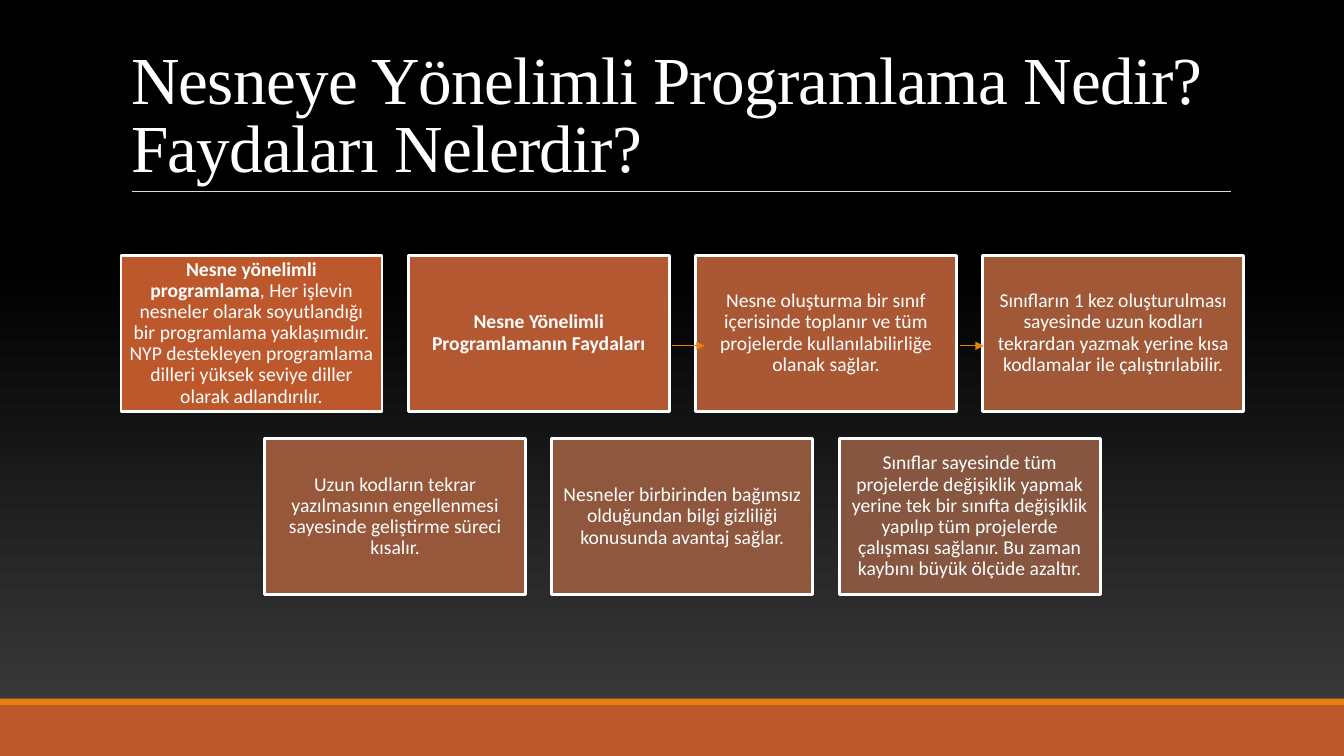
import pptx
import pptx.dml.color
import pptx.enum.shapes
import pptx.enum.text
import pptx.oxml
import pptx.oxml.ns
import pptx.util

Pt = pptx.util.Pt
ALIGN = pptx.enum.text.PP_ALIGN
ANCHOR = pptx.enum.text.MSO_ANCHOR

COLORS = {
    "white": "FFFFFF", "black": "000000", "charcoal": "3F3F3F",
    "rule": "CCDDEA", "orange": "E48312", "rust": "BD582C",
}
# Each card: fill, bold text, regular text
CARDS = [
    ("BD582C", "Nesne yönelimli programlama",
     ", Her işlevin nesneler olarak soyutlandığı bir programlama yaklaşımıdır. "
     "NYP destekleyen programlama dilleri yüksek seviye diller olarak adlandırılır."),
    ("B35830", "Nesne Yönelimli Programlamanın Faydaları", ""),
    ("AA5834", "", "Nesne oluşturma bir sınıf içerisinde toplanır ve tüm projelerde "
     "kullanılabilirliğe olanak sağlar."),
    ("A05837", "", "Sınıfların 1 kez oluşturulması sayesinde uzun kodları tekrardan "
     "yazmak yerine kısa kodlamalar ile çalıştırılabilir."),
    ("97573A", "", "Uzun kodların tekrar yazılmasının engellenmesi sayesinde "
     "geliştirme süreci kısalır."),
    ("8F573D", "", "Nesneler birbirinden bağımsız olduğundan bilgi gizliliği "
     "konusunda avantaj sağlar."),
    ("865640", "", "Sınıflar sayesinde tüm projelerde değişiklik yapmak yerine tek bir "
     "sınıfta değişiklik yapılıp tüm projelerde çalışması sağlanır. Bu zaman kaybını "
     "büyük ölçüde azaltır."),
]
CARD_WIDTH, CARD_HEIGHT = 186.5, 111.6
CARD_LEFT, CARD_TOP = 86.4, 182.2
COLUMN_STEP, ROW_STEP = 205.2, 131
FIRST_ROW = 4


def rgb(color):
    return pptx.dml.color.RGBColor.from_string(COLORS.get(color, color))


def apply_format(target, values):
    for name, value in values.items():
        setattr(target, name, value)


class SlideBuilder:
    """Holds the text styles and the current slide."""

    title_font = {"name": "Times New Roman", "size": Pt(48), "bold": False}
    card_font = {"name": "Calibri", "size": Pt(14)}
    title_frame = {
        "word_wrap": True, "vertical_anchor": ANCHOR.BOTTOM,
        "auto_size": pptx.enum.text.MSO_AUTO_SIZE.NONE,
        "margin_left": Pt(7.2), "margin_right": Pt(7.2),
        "margin_top": Pt(3.6), "margin_bottom": Pt(3.6),
    }
    card_frame = {
        "word_wrap": True, "vertical_anchor": ANCHOR.MIDDLE,
        "margin_left": Pt(4.2), "margin_right": Pt(4.2),
        "margin_top": Pt(4.2), "margin_bottom": Pt(4.2),
    }

    def __init__(self, deck):
        self.slide = deck.slides.add_slide(deck.slide_layouts[5])

    def background(self, bottom, top, top_start):
        fill = self.slide.background.fill
        fill.gradient()
        fill.gradient_angle = 90
        for stop, color, position in zip(fill.gradient_stops, (bottom, top), (0, top_start)):
            stop.color.rgb = rgb(color)
            stop.position = position

    def add_run(self, paragraph, text, font_values):
        run = paragraph.add_run()
        run.text = text
        apply_format(run.font, font_values)
        run.font.color.rgb = rgb("white")
        return run

    def title(self, text, left, top, width, height):
        heading = self.slide.shapes.title
        apply_format(heading, {"left": Pt(left), "top": Pt(top),
                               "width": Pt(width), "height": Pt(height)})
        apply_format(heading.text_frame, self.title_frame)
        paragraph = heading.text_frame.paragraphs[0]
        apply_format(paragraph, {"alignment": ALIGN.LEFT, "line_spacing": 0.85,
                                 "space_before": Pt(0)})
        run = self.add_run(paragraph, text, self.title_font)
        run.font._element.set("spc", "-50")

    def box(self, left, top, width, height, color):
        box = self.slide.shapes.add_shape(
            pptx.enum.shapes.MSO_SHAPE.RECTANGLE, Pt(left), Pt(top), Pt(width), Pt(height))
        box.shadow.inherit = False
        box.fill.solid()
        box.fill.fore_color.rgb = rgb(color)
        box.line.fill.background()
        return box

    def card(self, left, top, color, bold_text, plain_text):
        card = self.box(left, top, CARD_WIDTH, CARD_HEIGHT, color)
        card.line.color.rgb = rgb("white")
        card.line.width = Pt(2)
        apply_format(card.text_frame, self.card_frame)
        paragraph = card.text_frame.paragraphs[0]
        apply_format(paragraph, {"alignment": ALIGN.CENTER, "line_spacing": 0.9})
        for text, bold in ((bold_text, True), (plain_text, False)):
            if text:
                self.add_run(paragraph, text, {**self.card_font, "bold": bold})

    def line(self, start, end, y, color, width, arrow=False):
        line = self.slide.shapes.add_connector(
            pptx.enum.shapes.MSO_CONNECTOR.STRAIGHT, Pt(start), Pt(y), Pt(end), Pt(y))
        line.line.color.rgb = rgb(color)
        line.line.width = Pt(width)
        if arrow:
            head = pptx.oxml.parse_xml(
                f'<a:tailEnd {pptx.oxml.ns.nsdecls("a")} type="triangle"/>')
            line.line._get_or_add_ln().append(head)
        line._element.spPr.append(
            pptx.oxml.parse_xml(f'<a:effectLst {pptx.oxml.ns.nsdecls("a")}/>'))


def main():
    deck = pptx.Presentation()
    apply_format(deck, {"slide_width": Pt(960), "slide_height": Pt(540)})
    builder = SlideBuilder(deck)

    # Background, title and its rule
    builder.background("charcoal", "black", 0.65)
    builder.line(94.3, 879.1, 136.8, "rule", 0.5)
    builder.title("Nesneye Yönelimli Programlama Nedir? Faydaları Nelerdir?",
                  86.4, 22.3, 792, 114.5)

    # Footer bands
    builder.box(0, 499, 960, 5, "orange")
    builder.box(0, 504, 960, 36, "rust")

    # Cards: four above, three centred below
    for index, card in enumerate(CARDS):
        row, column = divmod(index, FIRST_ROW)
        left = CARD_LEFT + (column + row / 2) * COLUMN_STEP
        builder.card(left, CARD_TOP + row * ROW_STEP, *card)

    # Arrows from the benefits heading onwards
    for start, end in ((480.2, 503.3), (685.4, 702.7)):
        builder.line(start, end, 247, "orange", 1, arrow=True)

    deck.save("out.pptx")


if __name__ == "__main__":
    main()
